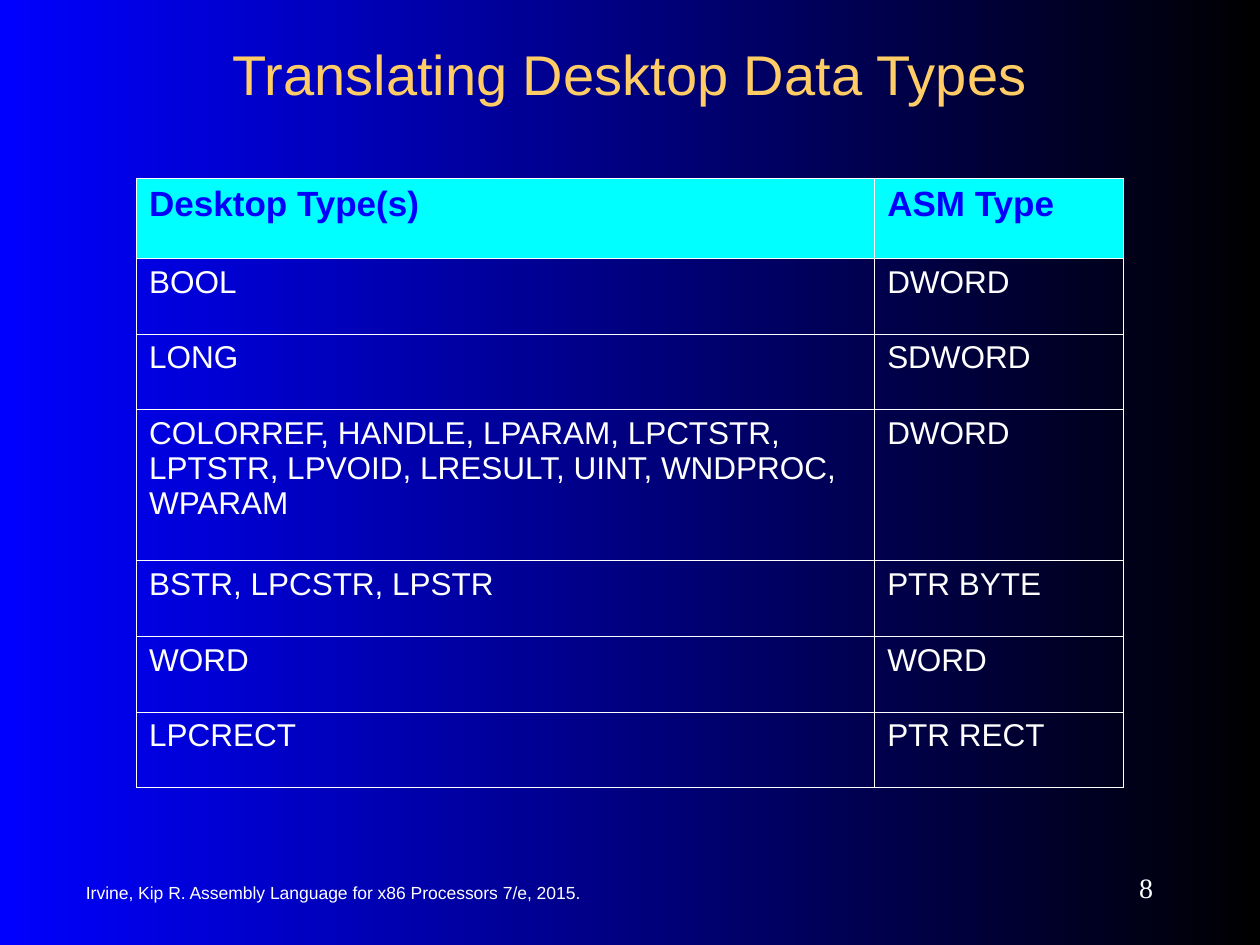
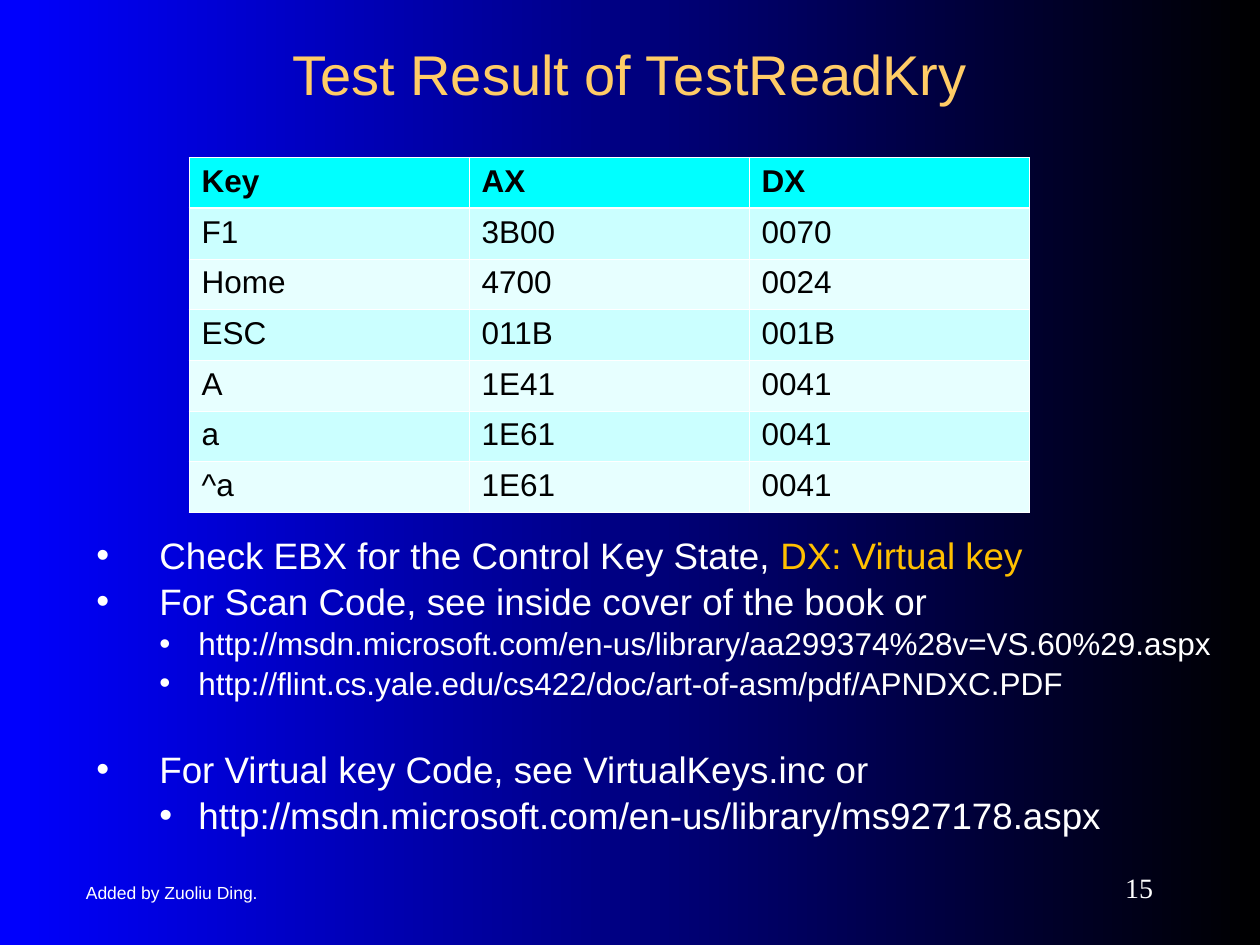
from lxml import etree
from pptx import Presentation, util as u
from pptx.dml.color import RGBColor
from pptx.enum import text as t
from pptx.oxml import ns

COLORS = {
    "left": "0000FF", "right": "000000", "title": "FFCC66", "white": "FFFFFF",
    "header": "00FFFF", "header_text": "0000FF", "black": "000000",
    "odd": "CBFFFF", "even": "E7FFFF", "accent": "FFC000",
}
COLORS = {role: RGBColor.from_string(value) for role, value in COLORS.items()}
NO_STYLE = "{2D5ABB26-0587-4C30-8999-92F81FD0307C}"

prs = Presentation()
prs.slide_width, prs.slide_height = u.Inches(10), u.Inches(7.5)
UNIT = prs.slide_width // 120  # the slide is a grid of 120 columns by 90 rows


def write(paragraph, words, color, size, name="Arial", bold=False):
    run = paragraph.add_run()
    run.text = words
    for key, value in {"size": u.Pt(size), "name": name, "bold": bold}.items():
        setattr(run.font, key, value)
    run.font.color.rgb = COLORS[color]


def draw_border(cell, side, points):
    """Draw one white edge of a cell; call in the order L, R, T, B before the fill."""
    line = etree.SubElement(cell._tc.get_or_add_tcPr(), ns.qn(f"a:ln{side}"), w=str(u.Pt(points)))
    fill = etree.SubElement(line, ns.qn("a:solidFill"))
    etree.SubElement(fill, ns.qn("a:srgbClr"), val=str(COLORS["white"]))


pages = [
    {
        "title": "Translating Desktop Data Types",
        "credit": "Irvine, Kip R. Assembly Language for x86 Processors 7/e, 2015.",
        "credit_width": 50, "number": "8",
        "origin": (13, 17), "columns": [70.3, 23.7],
        "rows": [7.6, 7.2, 7.2, 14.4, 7.2, 7.2, 7.2],
        "outer": 1.08, "under_header": 0.45,
        "header": ("header_text", 20), "body": "white", "bands": None,
        "cells": [
            ("Desktop Type(s)", "ASM Type"),
            ("BOOL", "DWORD"),
            ("LONG", "SDWORD"),
            ("COLORREF, HANDLE, LPARAM, LPCTSTR, LPTSTR, LPVOID, LRESULT, "
             "UINT, WNDPROC, WPARAM", "DWORD"),
            ("BSTR, LPCSTR, LPSTR", "PTR BYTE"),
            ("WORD", "WORD"),
            ("LPCRECT", "PTR RECT"),
        ],
        "notes": [],
    },
    {
        "title": "Test Result of TestReadKry",
        "credit": "Added by Zuoliu Ding.",
        "credit_width": 74, "number": "15",
        "origin": (18, 15), "columns": [80 / 3] * 3, "rows": [4.83] * 7,
        "outer": 0.45, "under_header": 1.47,
        "header": ("black", 18), "body": "black", "bands": ("even", "odd"),
        "cells": [
            ("Key", "AX", "DX"),
            ("F1", "3B00", "0070"),
            ("Home", "4700", "0024"),
            ("ESC", "011B", "001B"),
            ("A", "1E41", "0041"),
            ("a", "1E61", "0041"),
            ("^a", "1E61", "0041"),
        ],
        # level, size, space before, runs
        "notes": [
            (0, 21, 0, [("Check EBX for the Control Key State, ", "white"),
                        ("DX: Virtual key", "accent")]),
            (0, 21, 0, [("For Scan Code, see inside cover of the book or", "white")]),
            (1, 18, 0, [("http://msdn.microsoft.com/en-us/library/aa299374%28v=VS.60%29.aspx", "white")]),
            (1, 18, 0, [("http://flint.cs.yale.edu/cs422/doc/art-of-asm/pdf/APNDXC.PDF", "white")]),
            (0, 21, 25, [("For Virtual key Code, see VirtualKeys.inc or", "white")]),
            (1, 21, 0, [("http://msdn.microsoft.com/en-us/library/ms927178.aspx", "white")]),
        ],
    },
]

INDENTS = [(0.5, -0.5), (0.81, -0.31)]

for page in pages:
    slide = prs.slides.add_slide(prs.slide_layouts[6])
    backdrop = slide.background.fill
    backdrop.gradient()
    backdrop.gradient_angle = 0
    for stop, role in zip(backdrop.gradient_stops, ("left", "right")):
        stop.color.rgb = COLORS[role]

    # Title, credit and slide number
    for words, place, align, color, size, name in [
        (page["title"], (9, 3, 102, 8), t.PP_ALIGN.CENTER, "title", 32, "Arial"),
        (page["credit"], (7, 83, page["credit_width"], 4), t.PP_ALIGN.LEFT, "white", 10, "Arial"),
        (page["number"], (98, 82, 13, 5), t.PP_ALIGN.RIGHT, "white", 16, "Times New Roman"),
    ]:
        frame = slide.shapes.add_textbox(*(UNIT * n for n in place)).text_frame
        frame.word_wrap = True
        frame.vertical_anchor = t.MSO_ANCHOR.MIDDLE
        frame.paragraphs[0].alignment = align
        write(frame.paragraphs[0], words, color, size, name)

    # Table
    columns, rows = page["columns"], page["rows"]
    place = (*page["origin"], sum(columns), sum(rows))
    table = slide.shapes.add_table(len(rows), len(columns), *(int(UNIT * n) for n in place)).table
    table._tbl.tblPr.find(ns.qn("a:tableStyleId")).text = NO_STYLE
    table.first_row = table.horz_banding = False
    for column, width in zip(table.columns, columns):
        column.width = int(UNIT * width)
    for row, height in zip(table.rows, rows):
        row.height = int(UNIT * height)

    last_row, last_column = len(rows) - 1, len(columns) - 1
    outer, under_header = page["outer"], page["under_header"]
    for r, entries in enumerate(page["cells"]):
        for c, entry in enumerate(entries):
            cell = table.cell(r, c)
            edges = {
                "L": outer if c == 0 else 0.45,
                "R": outer if c == last_column else 0.45,
                "T": {0: outer, 1: under_header}.get(r, 0.45),
                "B": {0: under_header, last_row: outer}.get(r, 0.45),
            }
            for side, points in edges.items():
                draw_border(cell, side, points)
            if r and not page["bands"]:
                cell.fill.background()
            else:
                cell.fill.solid()
                cell.fill.fore_color.rgb = COLORS[page["bands"][r % 2] if r else "header"]
            color, size = (page["body"], 18) if r else page["header"]
            write(cell.text_frame.paragraphs[0], entry, color, size, bold=r == 0)

    # Bulleted notes
    if page["notes"]:
        frame = slide.shapes.add_textbox(*(int(UNIT * n) for n in (8, 50, 111, 29.4))).text_frame
        frame.word_wrap = True
        for i, (level, size, gap, runs) in enumerate(page["notes"]):
            paragraph = frame.add_paragraph() if i else frame.paragraphs[0]
            paragraph.level = level
            paragraph.line_spacing = 1.04
            if gap:
                paragraph.space_before = u.Pt(gap)
            properties = paragraph._p.get_or_add_pPr()
            for key, inches in zip(("marL", "indent"), INDENTS[level]):
                properties.set(key, str(u.Inches(inches)))
            bullet_color = etree.SubElement(properties, ns.qn("a:buClr"))
            etree.SubElement(bullet_color, ns.qn("a:srgbClr"), val=str(COLORS["white"]))
            etree.SubElement(properties, ns.qn("a:buFont"), typeface="Arial")
            etree.SubElement(properties, ns.qn("a:buChar"), char="•")
            for words, color in runs:
                write(paragraph, words, color, size)

prs.save("out.pptx")
